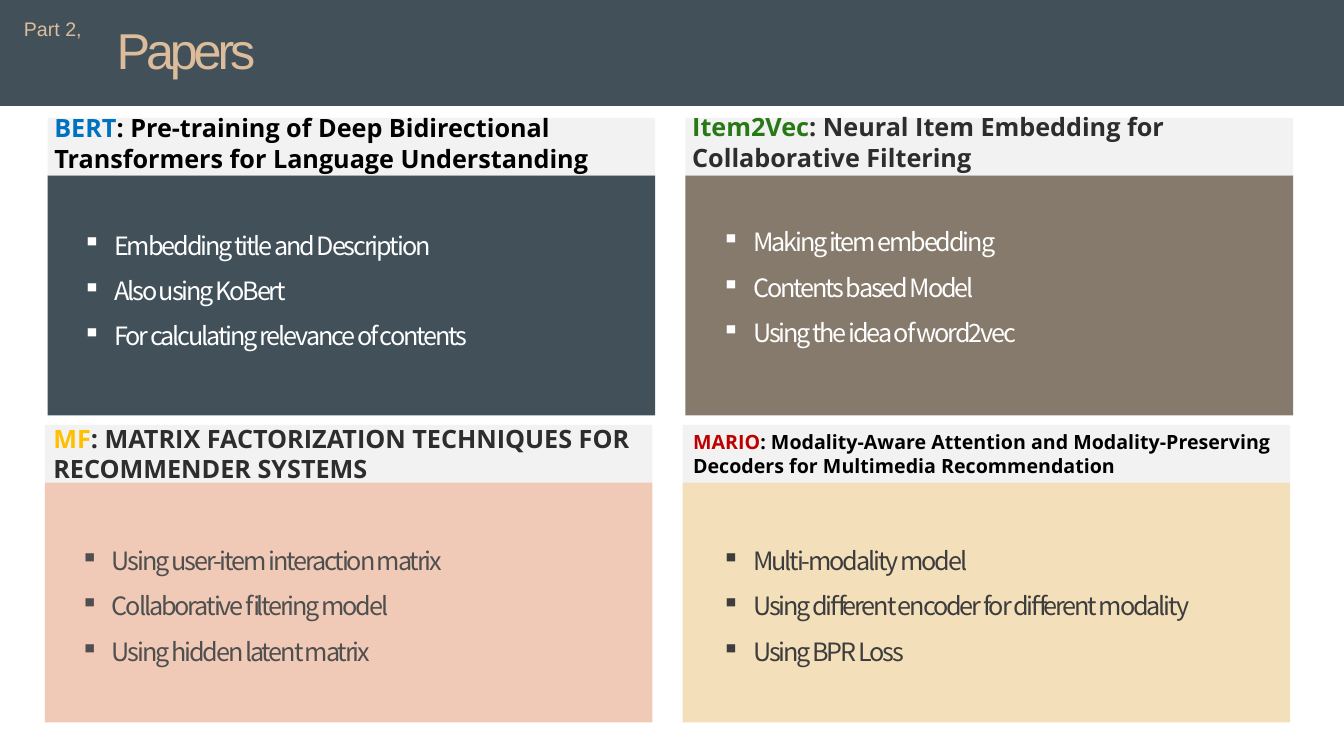
from dataclasses import dataclass

from pptx import Presentation
from pptx.dml.color import RGBColor
from pptx.enum.shapes import MSO_SHAPE as Shape
from pptx.oxml import parse_xml
from pptx.oxml.ns import nsdecls
from pptx.util import Pt

SLATE = RGBColor(0x42, 0x50, 0x59)
TAUPE = RGBColor(0x86, 0x7A, 0x6C)
PEACH = RGBColor(0xF0, 0xCA, 0xB6)
CREAM = RGBColor(0xF3, 0xDF, 0xBA)
SAND = RGBColor(0xDD, 0xBC, 0x9C)
PALE = RGBColor(0xF2, 0xF2, 0xF2)
WHITE = RGBColor(0xFF, 0xFF, 0xFF)
BLACK = RGBColor(0x00, 0x00, 0x00)
INK = RGBColor(0x2D, 0x2D, 0x2D)
GREY = RGBColor(0x4F, 0x4F, 0x4F)
DARK_GREY = RGBColor(0x3D, 0x3D, 0x3D)
BLUE = RGBColor(0x00, 0x70, 0xC0)
GREEN = RGBColor(0x28, 0x79, 0x16)
AMBER = RGBColor(0xFF, 0xC0, 0x00)
RED = RGBColor(0xC0, 0x00, 0x00)

SLIDE_W, SLIDE_H = 960, 540
BANNER_H = 75.6
CARD_W, HEADER_H, PANEL_H = 434, 41, 171.5
CARD_LEFT, COLUMN_STEP, LOWER_ROW_SHIFT = 34, 455.6, -2
ROW_TOPS = (84.3, 303.6)
BULLET_INDENT = 22.5


@dataclass
class Paper:
    name: str
    title: str
    name_color: RGBColor
    title_color: RGBColor
    title_size: float
    title_box: tuple
    panel_color: RGBColor
    points: tuple
    points_color: RGBColor
    points_at: tuple


PAPERS = (
    Paper("BERT", ": Pre-training of Deep Bidirectional Transformers for Language Understanding",
          BLUE, BLACK, 18, (31.7, 77, 400, 51), SLATE,
          ("Embedding title and Description", "Also using KoBert",
           "For calculating relevance of contents"),
          WHITE, (52, 149.8)),
    Paper("Item2Vec", ": Neural Item Embedding for Collaborative Filtering",
          GREEN, INK, 18, (487.4, 76.3, 427, 51), TAUPE,
          ("Making item embedding", "Contents based Model", "Using the idea of word2vec"),
          WHITE, (508.3, 147.6)),
    Paper("MF", ": MATRIX FACTORIZATION TECHNIQUES FOR RECOMMENDER SYSTEMS",
          AMBER, INK, 18, (31, 298.8, 427, 73), PEACH,
          ("Using user-item interaction matrix", "Collaborative filtering model",
           "Using hidden latent matrix"),
          GREY, (50.4, 375.1)),
    Paper("MARIO", ": Modality-Aware Attention and Modality-Preserving Decoders"
          " for Multimedia Recommendation",
          RED, BLACK, 14, (488, 303.8, 441.4, 41), CREAM,
          ("Multi-modality model", "Using different encoder for different modality",
           "Using BPR Loss"),
          DARK_GREY, (508.3, 375.1)),
)


class PapersSlide:
    title_font = "Arial"
    heading_font = "Open Sans"
    points_font = "Noto Sans CJK KR"

    def __init__(self, slide):
        self.shapes = slide.shapes

    def block(self, left, top, width, height, color):
        block = self.shapes.add_shape(Shape.RECTANGLE, Pt(left), Pt(top), Pt(width), Pt(height))
        block.shadow.inherit = False
        block.fill.solid()
        block.fill.fore_color.rgb = color
        block.line.fill.background()

    def frame(self, left, top, width, height, wrap=True):
        frame = self.shapes.add_textbox(Pt(left), Pt(top), Pt(width), Pt(height)).text_frame
        frame.word_wrap = wrap
        return frame

    def run(self, paragraph, text, color, spacing=0, **font_format):
        """Add a run; spacing is the letter spacing in points."""
        run = paragraph.add_run()
        run.text = text
        for attribute, value in font_format.items():
            setattr(run.font, attribute, value)
        run.font.color.rgb = color
        if spacing:
            run.font._element.set("spc", str(int(spacing * 100)))

    def label(self, text, box, size, spacing=0, wrap=True):
        paragraph = self.frame(*box, wrap=wrap).paragraphs[0]
        self.run(paragraph, text, SAND, spacing, name=self.title_font, size=Pt(size))

    def heading(self, paper):
        paragraph = self.frame(*paper.title_box).paragraphs[0]
        for text, color in ((paper.name, paper.name_color), (paper.title, paper.title_color)):
            self.run(paragraph, text, color, name=self.heading_font,
                     size=Pt(paper.title_size), bold=True)

    def bullets(self, paper):
        frame = self.frame(*paper.points_at, 400, 101.5)
        for index, point in enumerate(paper.points):
            paragraph = frame.add_paragraph() if index else frame.paragraphs[0]
            paragraph.line_spacing = 1.5
            properties = paragraph._p.get_or_add_pPr()
            properties.set("marL", str(Pt(BULLET_INDENT)))
            properties.set("indent", str(-Pt(BULLET_INDENT)))
            properties.append(parse_xml(f'<a:buChar {nsdecls("a")} char="▪"/>'))
            self.run(paragraph, point, paper.points_color, -1.5,
                     name=self.points_font, size=Pt(18))

    def card(self, paper, row, column):
        left = CARD_LEFT + column * COLUMN_STEP + row * LOWER_ROW_SHIFT
        top = ROW_TOPS[row]
        self.block(left, top + HEADER_H, CARD_W, PANEL_H, paper.panel_color)
        self.block(left, top, CARD_W, HEADER_H, PALE)
        self.heading(paper)
        self.bullets(paper)


def main():
    deck = Presentation()
    deck.slide_width, deck.slide_height = Pt(SLIDE_W), Pt(SLIDE_H)
    papers_slide = PapersSlide(deck.slides.add_slide(deck.slide_layouts[6]))
    papers_slide.block(0, 0, SLIDE_W, BANNER_H, SLATE)
    papers_slide.label("Papers", (76.3, 10, 324, 51), 36, spacing=-3)
    papers_slide.label("Part 2,", (10, 8.6, 56, 24.5), 14, wrap=False)
    for index, paper in enumerate(PAPERS):
        papers_slide.card(paper, *divmod(index, 2))
    deck.save("out.pptx")


if __name__ == "__main__":
    main()
